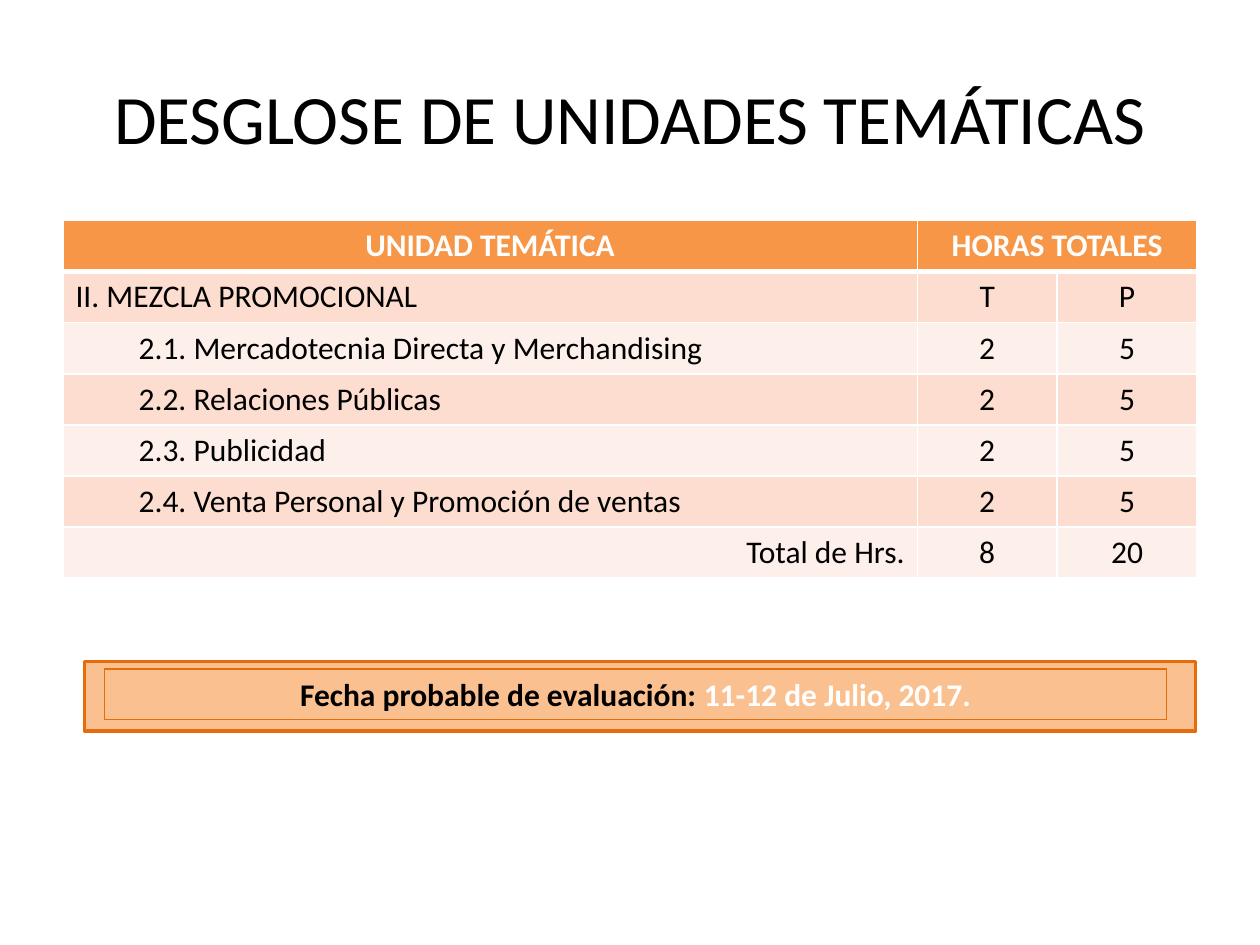
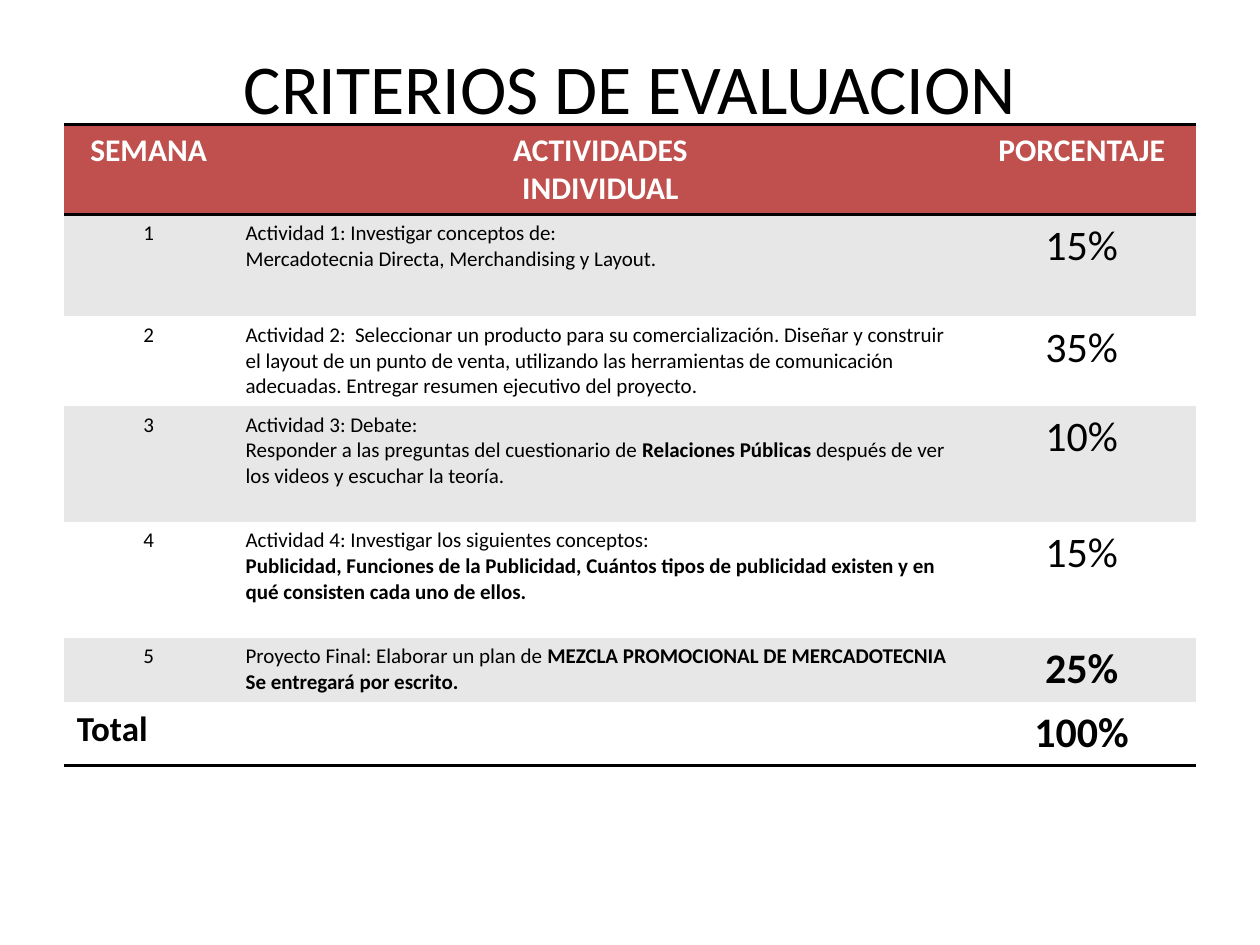
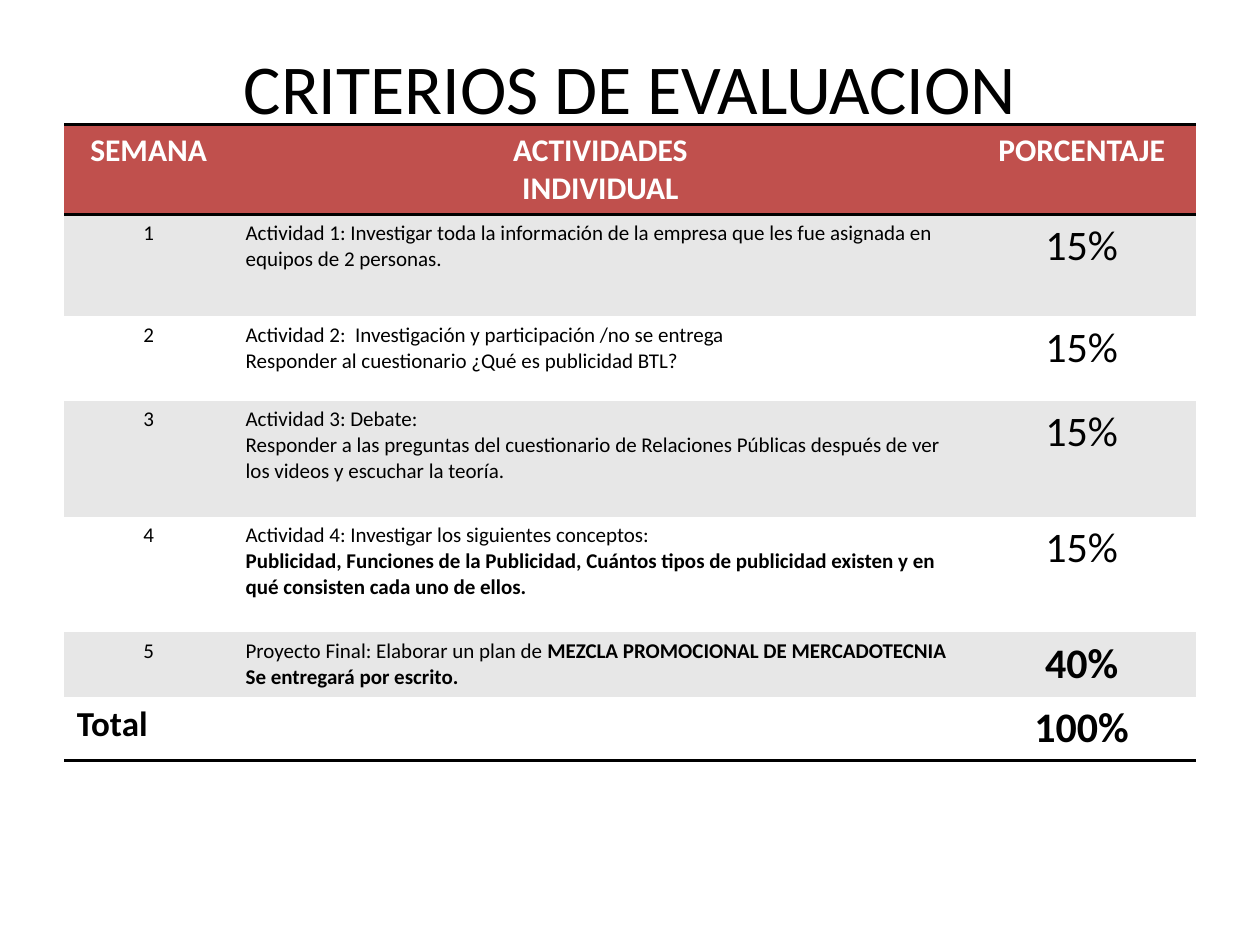
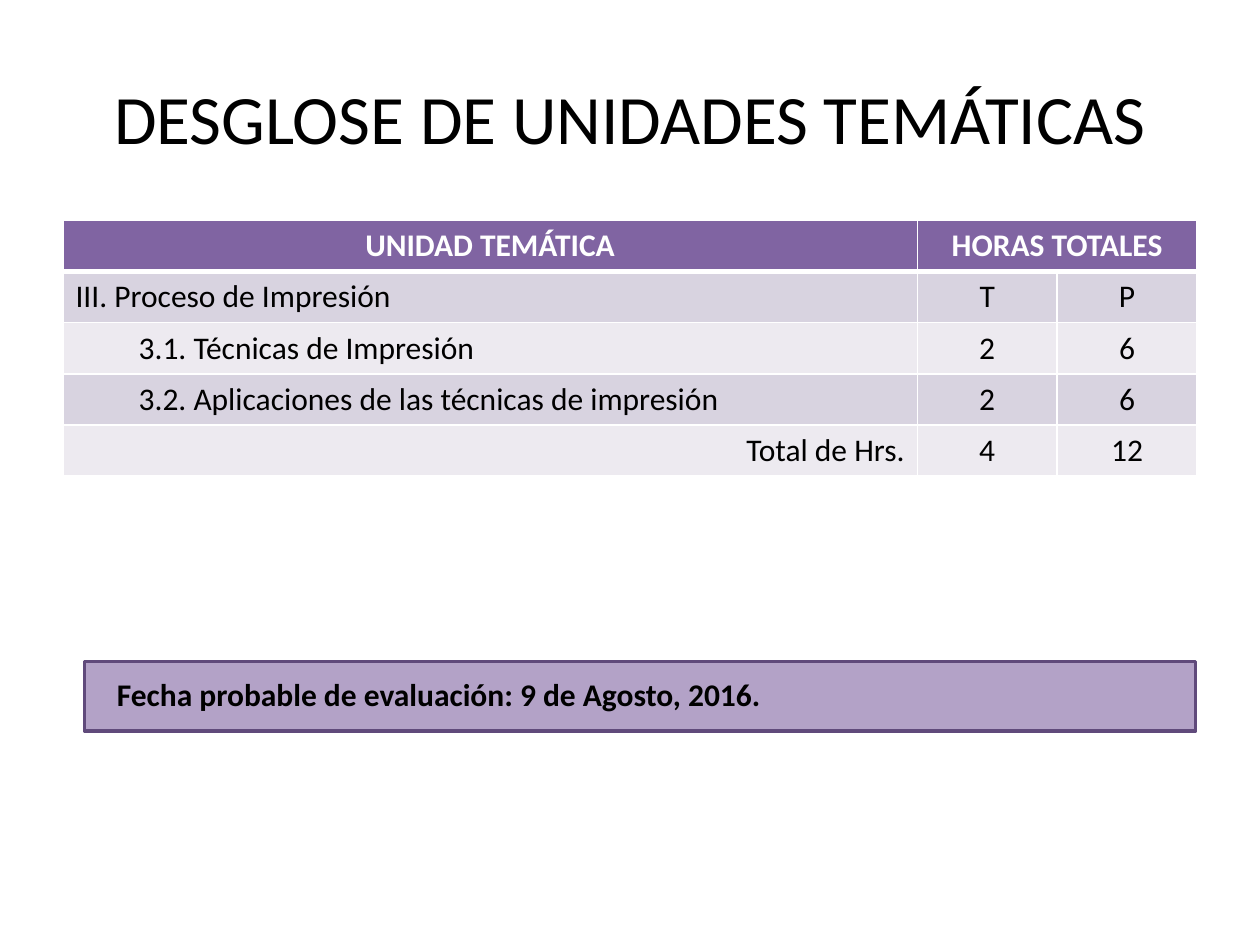
"""Build the four slides on thematic units and evaluation criteria."""
from dataclasses import dataclass
from typing import NamedTuple, Optional

from lxml import etree
from pptx import Presentation
from pptx.dml.color import RGBColor
from pptx.enum import shapes, text
from pptx.oxml.ns import qn
from pptx.util import Inches, Pt

FONT = "Calibri"
BLACK = RGBColor(0x00, 0x00, 0x00)
WHITE = RGBColor(0xFF, 0xFF, 0xFF)
GREY = RGBColor(0xE7, 0xE7, 0xE7)
RED = RGBColor(0xC0, 0x50, 0x4D)
LEFT, CENTER, RIGHT = text.PP_ALIGN.LEFT, text.PP_ALIGN.CENTER, text.PP_ALIGN.RIGHT
UNIT_COLS = (6.78, 1.11, 1.11)
UNIT_ROW = 0.405
WEEK_COLS = (1.34, 5.83, 1.81)


class Span(NamedTuple):
    """A piece of text with its own weight and colour."""
    text: str
    bold: bool = False
    color: RGBColor = BLACK


class Border(NamedTuple):
    """A cell edge."""
    color: RGBColor
    width: float


class Palette(NamedTuple):
    """Colours of one thematic unit."""
    header: RGBColor
    dark_band: RGBColor
    light_band: RGBColor
    box: RGBColor
    box_line: RGBColor


ORANGE = Palette(RGBColor(0xF7, 0x96, 0x46), RGBColor(0xFC, 0xDD, 0xCF), RGBColor(0xFD, 0xEF, 0xE9),
                 RGBColor(0xFA, 0xC0, 0x90), RGBColor(0xE4, 0x6C, 0x0A))
PURPLE = Palette(RGBColor(0x80, 0x64, 0xA2), RGBColor(0xD8, 0xD3, 0xE0), RGBColor(0xED, 0xEA, 0xF0),
                 RGBColor(0xB3, 0xA2, 0xC7), RGBColor(0x60, 0x4A, 0x7B))


@dataclass
class Unit:
    """A thematic unit with its topics, hours and evaluation date."""
    name: str
    topics: list[str]
    hours: tuple[int, int]
    palette: Palette
    date: list[Span]
    date_align: text.PP_ALIGN
    date_framed: bool


@dataclass
class Week:
    """One week of activities and its share of the grade."""
    activity: list[list[Span]]
    percent: str
    height: float


def write(tf, lines: list[list[Span]], size: float, align: text.PP_ALIGN = LEFT) -> None:
    """Fill a text frame, one paragraph for each line of spans."""
    for i, spans in enumerate(lines):
        p = tf.paragraphs[0] if i == 0 else tf.add_paragraph()
        p.alignment = align
        for span in spans:
            r = p.add_run()
            r.text = span.text
            r.font.name, r.font.size = FONT, Pt(size)
            r.font.bold = span.bold
            r.font.color.rgb = span.color


def add_slide(prs, title: str, height: float, size: float):
    """Add a slide with a title."""
    s = prs.slides.add_slide(prs.slide_layouts[5])
    sp = s.shapes.title
    sp.left, sp.top, sp.width, sp.height = Inches(0.5), Inches(0.3), Inches(9), Inches(height)
    tf = sp.text_frame
    tf.auto_size = text.MSO_AUTO_SIZE.NONE
    tf.vertical_anchor = text.MSO_ANCHOR.MIDDLE
    write(tf, [[Span(title)]], size, CENTER)
    return s


def add_grid(s, left: float, top: float, cols: tuple[float, ...], rows: list[float]):
    """Add an unstyled table with the given column widths and row heights."""
    table = s.shapes.add_table(len(rows), len(cols), Inches(left), Inches(top),
                               Inches(sum(cols)), Inches(sum(rows))).table
    table.first_row = table.horz_banding = False
    for col, width in zip(table.columns, cols):
        col.width = Inches(width)
    for row, height in zip(table.rows, rows):
        row.height = Inches(height)
    return table


def paint(cell, fill: RGBColor, sides: Optional[Border], top: Optional[Border],
          bottom: Optional[Border]) -> None:
    """Set the edges and the fill of a cell."""
    tcPr = cell._tc.get_or_add_tcPr()
    for tag, border in (("a:lnL", sides), ("a:lnR", sides), ("a:lnT", top), ("a:lnB", bottom)):
        ln = etree.SubElement(tcPr, qn(tag))
        if border is None:
            etree.SubElement(ln, qn("a:noFill"))
        else:
            ln.set("w", str(Pt(border.width)))
            color = etree.SubElement(etree.SubElement(ln, qn("a:solidFill")), qn("a:srgbClr"))
            color.set("val", str(border.color))
    cell.fill.solid()
    cell.fill.fore_color.rgb = fill


def add_unit_table(s, unit: Unit) -> None:
    """Add the table of topics and hours."""
    theory, practice = unit.hours
    count = len(unit.topics)
    rows = [("UNIDAD TEMÁTICA", "HORAS TOTALES", ""), (unit.name, "T", "P")]
    rows += [(topic, str(theory), str(practice)) for topic in unit.topics]
    rows.append(("Total de Hrs.", str(theory * count), str(practice * count)))
    table = add_grid(s, 0.5, 1.75, UNIT_COLS, [UNIT_ROW] * len(rows))
    thin, thick = Border(WHITE, 1), Border(WHITE, 3)
    bands = (unit.palette.light_band, unit.palette.dark_band)
    for i, row in enumerate(rows):
        header, total = i == 0, i == len(rows) - 1
        for j, value in enumerate(row):
            cell = table.cell(i, j)
            paint(cell, unit.palette.header if header else bands[i % 2], thin,
                  thick if i == 1 else thin, thick if header else thin)
            align = CENTER if header or j else RIGHT if total else LEFT
            if value:
                write(cell.text_frame, [[Span(value, header, WHITE if header else BLACK)]], 18, align)
        if 1 < i < len(rows) - 1:
            p = table.cell(i, 0).text_frame.paragraphs[0]
            p.level = 1
            p._p.get_or_add_pPr().set("marL", str(Inches(0.5)))
    table.cell(0, 1).merge(table.cell(0, 2))


def add_date_box(s, unit: Unit) -> None:
    """Add the coloured box with the evaluation date."""
    sp = s.shapes.add_shape(shapes.MSO_SHAPE.RECTANGLE, Inches(0.67), Inches(5.25),
                            Inches(8.82), Inches(0.55))
    sp.shadow.inherit = False
    sp.fill.solid()
    sp.fill.fore_color.rgb = unit.palette.box
    sp.line.color.rgb, sp.line.width = unit.palette.box_line, Pt(2)
    label = s.shapes.add_textbox(Inches(0.83), Inches(5.31), Inches(8.43), Inches(0.4))
    label.text_frame.word_wrap = True
    if unit.date_framed:
        label.line.color.rgb, label.line.width = unit.palette.box_line, Pt(0.75)
    write(label.text_frame, [unit.date], 18, unit.date_align)


def add_unit_slide(prs, unit: Unit) -> None:
    """Add the slide of a thematic unit."""
    s = add_slide(prs, "DESGLOSE DE UNIDADES TEMÁTICAS", 1.25, 39.6)
    add_unit_table(s, unit)
    add_date_box(s, unit)


def add_criteria_slide(prs, weeks: list[Week]) -> None:
    """Add the slide with the weekly activities and their percentages."""
    s = add_slide(prs, "CRITERIOS DE EVALUACION", 0.77, 40)
    table = add_grid(s, 0.51, 0.99, WEEK_COLS, [0.71, *(week.height for week in weeks), 0.5])
    rule, last = Border(BLACK, 2), len(weeks) + 1
    for i in range(last + 1):
        fill = RED if i == 0 else GREY if i % 2 else WHITE
        for j in range(len(WEEK_COLS)):
            paint(table.cell(i, j), fill, None, rule if i < 2 else None, rule if i in (0, last) else None)
    for j, lines in enumerate((["SEMANA"], ["ACTIVIDADES", "INDIVIDUAL"], ["PORCENTAJE"])):
        write(table.cell(0, j).text_frame, [[Span(line, True, WHITE)] for line in lines], 18, CENTER)
    for i, week in enumerate(weeks, 1):
        write(table.cell(i, 0).text_frame, [[Span(str(i))]], 12, CENTER)
        write(table.cell(i, 1).text_frame, week.activity, 12)
        write(table.cell(i, 2).text_frame, [[Span(week.percent, i == len(weeks))]], 24, CENTER)
    write(table.cell(last, 0).text_frame, [[Span("Total", True)]], 20)
    write(table.cell(last, 2).text_frame, [[Span("100%", True)]], 24, CENTER)


DEBATE = [Span("Actividad 3: Debate:")]
CONCEPTS = [[Span("Actividad 4: Investigar los siguientes conceptos:")],
            [Span("Publicidad, Funciones de la Publicidad, Cuántos tipos de publicidad existen "
                  "y en qué consisten cada uno de ellos.", True)]]
PROJECT = [[Span("Proyecto Final: Elaborar un plan de "), Span("MEZCLA PROMOCIONAL DE MERCADOTECNIA", True)],
           [Span("Se entregará por escrito.", True)]]

MIX_WEEKS = [
    Week([[Span("Actividad 1: Investigar conceptos de:")],
          [Span("Mercadotecnia Directa, Merchandising y Layout.")]], "15%", 0.81),
    Week([[Span("Actividad 2:  Seleccionar un producto para su comercialización. Diseñar y construir "
                "el layout de un punto de venta, utilizando las herramientas de comunicación adecuadas. "
                "Entregar resumen ejecutivo del proyecto.")]], "35%", 0.71),
    Week([DEBATE, [Span("Responder a las preguntas del cuestionario de "), Span("Relaciones Públicas ", True),
                   Span("después de ver los videos y escuchar la teoría.")]], "10%", 0.92),
    Week(CONCEPTS, "15%", 0.92),
    Week(PROJECT, "25%", 0.51),
]
COMPANY_WEEKS = [
    Week([[Span("Actividad 1: Investigar toda la información de la empresa que les fue asignada "
                "en equipos de 2 personas.")]], "15%", 0.81),
    Week([[Span("Actividad 2:  Investigación y participación /no se entrega")],
          [Span("Responder al cuestionario ¿Qué es publicidad BTL?")]], "15%", 0.67),
    Week([DEBATE, [Span("Responder a las preguntas del cuestionario de Relaciones Públicas después de ver "
                        "los videos y escuchar la teoría.")]], "15%", 0.92),
    Week(CONCEPTS, "15%", 0.92),
    Week(PROJECT, "40%", 0.51),
]
MIX_UNIT = Unit(
    "II. MEZCLA PROMOCIONAL",
    ["2.1. Mercadotecnia Directa y Merchandising", "2.2. Relaciones Públicas", "2.3. Publicidad",
     "2.4. Venta Personal y Promoción de ventas"],
    (2, 5), ORANGE,
    [Span("Fecha probable de evaluación: ", True), Span("11-12 de Julio, 2017.", True, WHITE)], CENTER, True)
PRINT_UNIT = Unit(
    "III. Proceso de Impresión",
    ["3.1. Técnicas de Impresión", "3.2. Aplicaciones de las técnicas de impresión"],
    (2, 6), PURPLE,
    [Span("Fecha probable de evaluación: 9 de Agosto, 2016.", True)], LEFT, False)


def main() -> None:
    """Build and save the presentation."""
    prs = Presentation()
    prs.slide_width, prs.slide_height = Inches(10), Inches(7.5)
    add_unit_slide(prs, MIX_UNIT)
    add_criteria_slide(prs, MIX_WEEKS)
    add_criteria_slide(prs, COMPANY_WEEKS)
    add_unit_slide(prs, PRINT_UNIT)
    prs.save("out.pptx")


if __name__ == "__main__":
    main()
